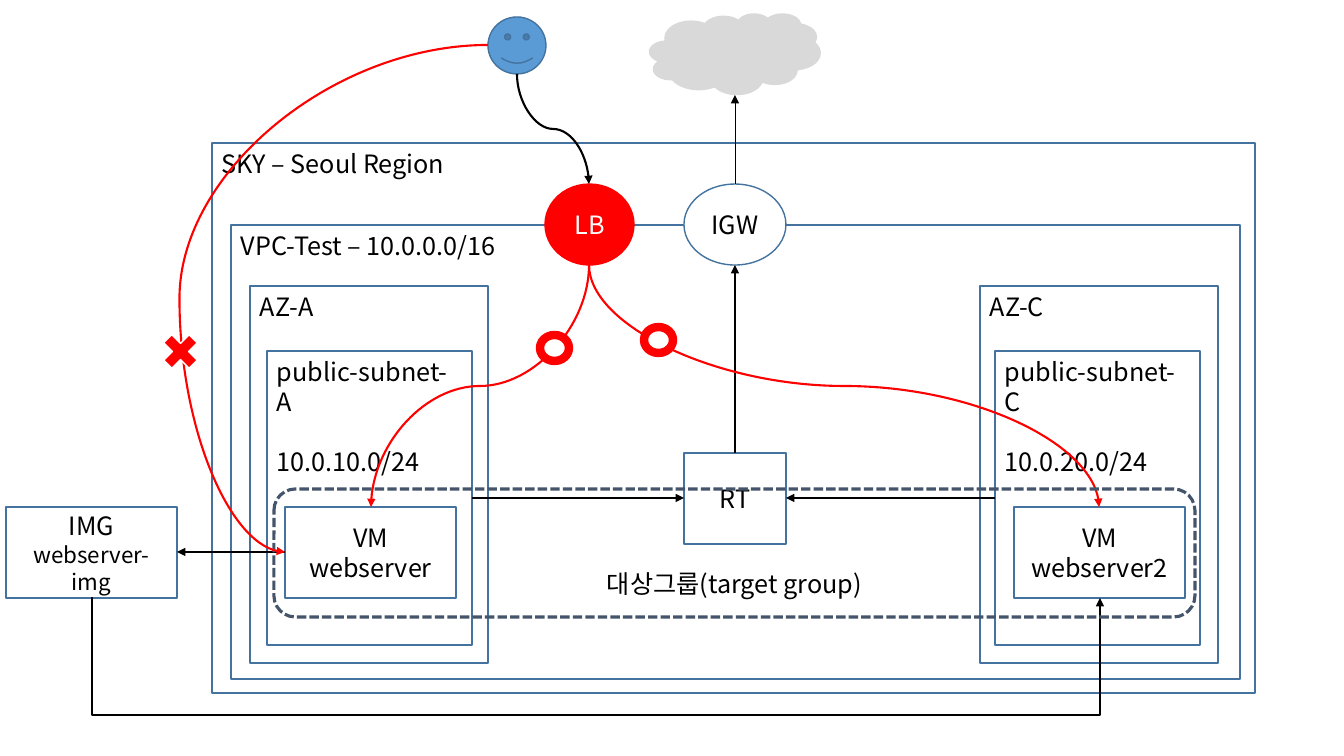
import pptx
import pptx.util
import pptx.dml.color
import pptx.enum.dml
import pptx.enum.shapes
import pptx.enum.text
import pptx.oxml.ns
from lxml import etree

RGB = pptx.dml.color.RGBColor
BLACK = RGB(0x00, 0x00, 0x00)
WHITE = RGB(0xFF, 0xFF, 0xFF)
RED = RGB(0xFF, 0x00, 0x00)
BLUE = RGB(0x5B, 0x9B, 0xD5)
EDGE = RGB(0x43, 0x73, 0x9E)
SLATE = RGB(0x44, 0x54, 0x6A)
GRAY = RGB(0xD9, 0xD9, 0xD9)

FORM = pptx.enum.shapes.MSO_SHAPE
LINK = pptx.enum.shapes.MSO_CONNECTOR
ALIGN = pptx.enum.text.PP_ALIGN
ANCHOR = pptx.enum.text.MSO_ANCHOR
FONT = "Noto Sans CJK KR"


def px(n):
    return pptx.util.Emu(round(n * 914400 / 100.8))


def add(parent, tag, **attrs):
    return etree.SubElement(parent, pptx.oxml.ns.qn(tag), **attrs)


class Page:
    def __init__(self, deck):
        self.shapes = deck.slides.add_slide(deck.slide_layouts[6]).shapes

    def shape(self, form, box, fill=WHITE, edge=EDGE, width=1):
        item = self.shapes.add_shape(form, *map(px, box))
        item.shadow.inherit = False
        if fill is None:
            item.fill.background()
        else:
            item.fill.solid()
            item.fill.fore_color.rgb = fill
        if edge is None:
            item.line.fill.background()
        else:
            item.line.color.rgb = edge
            item.line.width = pptx.util.Pt(width)
        return item

    def text(self, item, lines, sizes=(18, 18), color=BLACK, mid=True, gap=0):
        frame = item.text_frame
        frame.word_wrap = True
        frame.vertical_anchor = ANCHOR.MIDDLE if mid else ANCHOR.TOP
        frame.text = "\n".join(lines)
        for i, (para, size) in enumerate(zip(frame.paragraphs, sizes)):
            para.alignment = ALIGN.CENTER if mid else ALIGN.LEFT
            para.space_before = pptx.util.Pt(gap if i else 0)
            para.font.size = pptx.util.Pt(size)
            para.font.color.rgb = color
            para.font.name = FONT
            add(para.font._element, "a:ea", typeface=FONT)

    def zone(self, box, *lines):
        self.text(self.shape(FORM.RECTANGLE, box), lines, mid=False, gap=21.5)

    def node(self, box, *lines, form=FORM.RECTANGLE, sizes=(18, 18)):
        self.text(self.shape(form, box), lines, sizes)

    def arrow(self, start, end, color=BLACK, width=1, kind=LINK.STRAIGHT,
              down=False, bend=None):
        link = self.shapes.add_connector(kind, *map(px, start + end))
        link.line.color.rgb = color
        link.line.width = pptx.util.Pt(width)
        prop = link._element.spPr
        if down:
            self.turn(link, start, end)
        if bend is not None:
            add(prop.prstGeom.get_or_add_avLst(), "a:gd", name="adj1",
                fmla=f"val {round(bend * 100000)}")
        add(link.line._get_or_add_ln(), "a:tailEnd", type="triangle")
        add(prop, "a:effectLst")

    def turn(self, link, start, end):
        """Make a downward link leave its start vertically."""
        (x1, y1), (x2, y2) = start, end
        wide, high = y2 - y1, abs(x2 - x1)
        link.left, link.top = px((x1 + x2 - wide) / 2), px((y1 + y2 - high) / 2)
        link.width, link.height = px(wide), px(high)
        frame = link._element.spPr.xfrm
        right = x2 > x1
        frame.flipH, frame.flipV = right, False
        frame.rot = 270 if right else 90


deck = pptx.Presentation()
deck.slide_width, deck.slide_height = px(1344), px(756)
page = Page(deck)

# Nested network zones
page.zone((212, 143, 1043, 550), "SKY – Seoul Region")
page.zone((231, 225, 1009, 454), "VPC-Test – 10.0.0.0/16")
for x, name in (250, "A"), (980, "C"):
    page.zone((x, 286, 238, 377), f"AZ-{name}")
for x, name, net in (267, "A", 10), (995, "C", 20):
    page.zone((x, 351, 205, 294), f"public-subnet-{name}", f"10.0.{net}.0/24")

# Routing out to the internet
page.node((684, 453, 102, 91), "RT")
page.node((684, 184, 102, 81), "IGW", form=FORM.OVAL)
page.arrow((472, 498), (684, 498))
page.arrow((995, 498), (786, 498))
page.arrow((735, 453), (735, 265))
cloud = page.shape(FORM.CLOUD_CALLOUT, (649, 13, 172, 82), GRAY, None)
cloud.adjustments[0], cloud.adjustments[1] = 0.07, -0.14
page.arrow((735, 184), (735, 95), width=0.5)

# Servers and their image
page.node((285, 507, 171, 91), "VM", "webserver")
page.node((1014, 507, 171, 91), "VM", "webserver2")
page.node((6, 507, 171, 91), "IMG", "webserver-img", sizes=(18, 16))
page.arrow((285, 552), (177, 552))
page.arrow((92, 597), (1100, 598), kind=LINK.ELBOW, down=True, bend=119)

# User and load balancer
page.shape(FORM.SMILEY_FACE, (488, 17, 58, 57), BLUE)
lb = page.shape(FORM.OVAL, (545, 184, 89, 81), RED, RED)
page.text(lb, ["LB"], color=WHITE)
page.arrow((517, 74), (589, 184), width=1.5, kind=LINK.CURVE, down=True)
for x in 371, 1099:
    page.arrow((589, 265), (x, 507), RED, 1.5, LINK.CURVE, down=True)

# Target group
group = page.shape(FORM.ROUNDED_RECTANGLE, (274, 489, 921, 128), None, SLATE, 2.25)
group.line.dash_style = pptx.enum.dml.MSO_LINE.SQUARE_DOT
page.text(group, ["대상그룹(target group)"])
group.text_frame.margin_top = px(65)

# Blocked direct access and allowed paths
page.arrow((488, 45), (285, 552), RED, 1.5, LINK.CURVE, bend=1.52)
page.shape(FORM.MATH_MULTIPLY, (156, 327, 49, 49), RED, WHITE)
for x, y in (540, 335), (644, 327):
    page.shape(FORM.OVAL, (x, y, 29, 26), WHITE, RED, 6)

deck.save("out.pptx")
